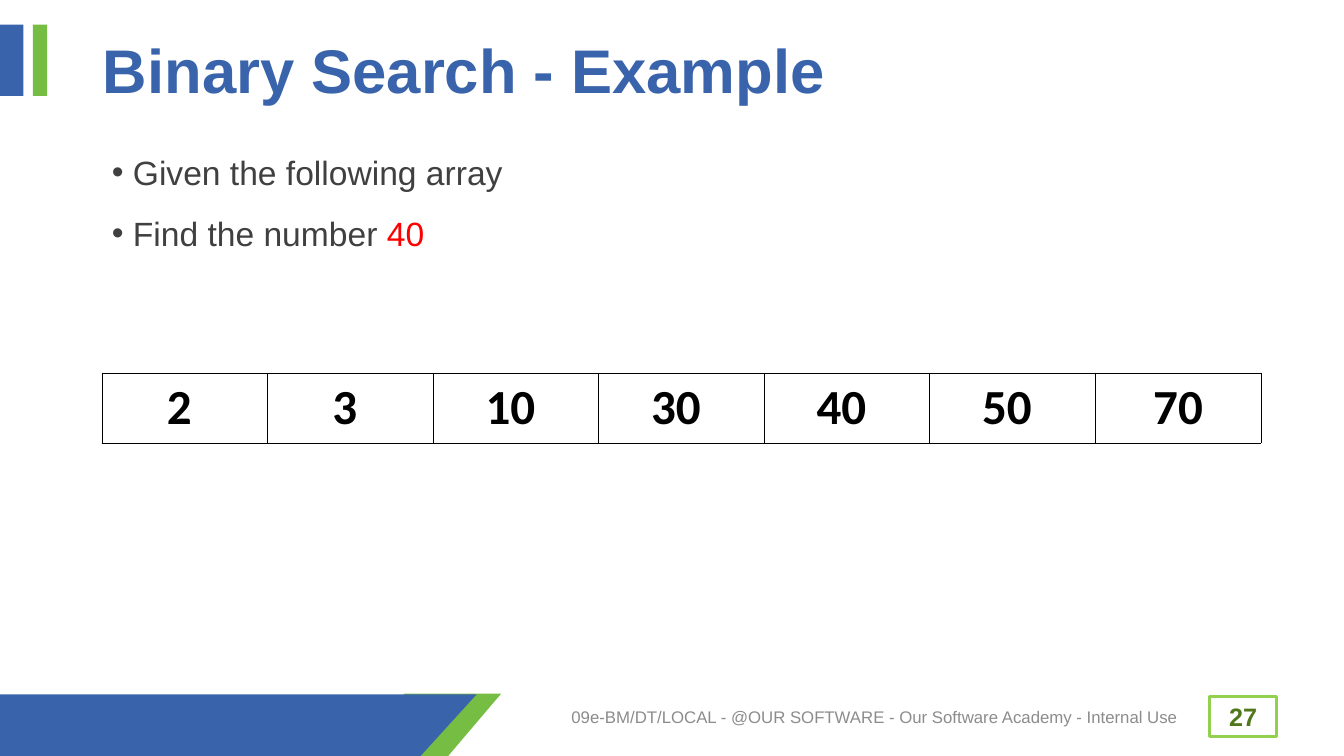
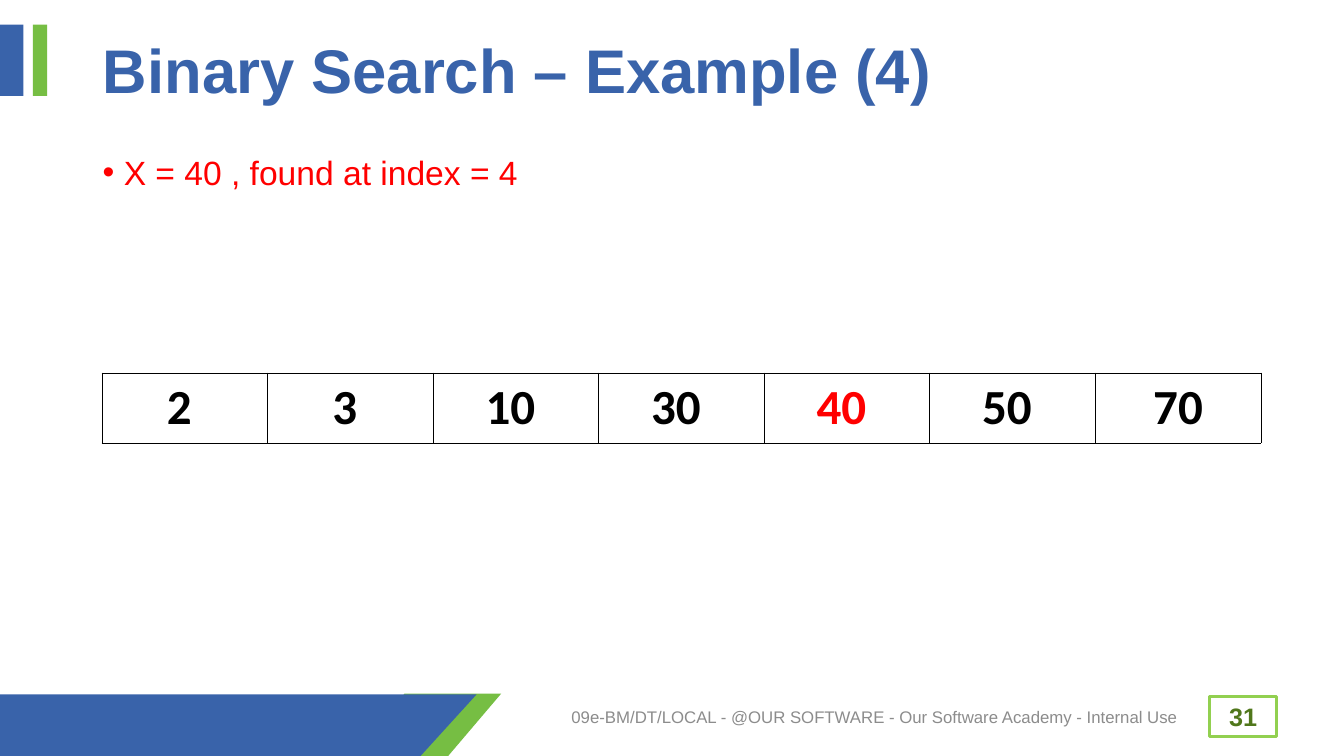
from lxml import etree
from pptx import Presentation
from pptx import util as u
from pptx.dml import color
from pptx.enum import shapes, text
from pptx.oxml import ns

COLORS = {
    "blue": "3963AA", "green": "76BE43", "lime": "92D050", "olive": "50771B",
    "body": "404040", "footer": "8C8C8C", "red": "FF0000",
    "black": "000000", "white": "FFFFFF",
}
STYLES = {
    "title": {"size": u.Pt(44), "name": "Arial", "bold": True},
    "bullet": {"size": u.Pt(24), "name": "Arial", "bold": False},
    "number": {"size": u.Pt(18), "name": "Arial", "bold": True},
    "footer": {"size": u.Pt(12), "name": "Arial", "bold": False},
    "cell": {"size": u.Pt(35), "name": "Calibri", "bold": True},
}
FRAME = {
    "word_wrap": True, "auto_size": text.MSO_AUTO_SIZE.NONE,
    "vertical_anchor": text.MSO_ANCHOR.MIDDLE,
}
FOOTER = "09e-BM/DT/LOCAL - @OUR SOFTWARE - Our Software Academy - Internal Use"
ARRAY = [2, 3, 10, 30, 40, 50, 70]
SLIDES = [
    {"title": "Binary Search - Example", "number": 27, "body_left": 2.57, "found": None,
     "bullets": [[("Given the following array", "body")],
                 [("Find the number ", "body"), ("40", "red")]]},
    {"title": "Binary Search – Example (4)", "number": 31, "body_left": 2.34, "found": 40,
     "bullets": [[("X = 40 , found at index = 4", "red")]]},
]
TITLE_BOX = (2.34, 0.51, 29.21, 2.69)
TABLE_BOX = (2.57, 9.4, 29.21, 1.75)
NUMBER_BOX = (30.48, 17.55, 1.7, 1.02)
FOOTER_BOX = (13.61, 17.55, 16.87, 1.02)
TITLE_BARS = [("blue", (0, 0.62, 0.59, 1.8)), ("green", (0.83, 0.62, 0.36, 1.8))]
FOOTER_STRIPE = (8.86, 17.48, 3.77, 1.57)
FOOTER_BAND = [(0, 17.5), (12.01, 17.5), (10.6, 19.05), (0, 19.05)]
BULLET_INDENT = 0.53
CELL_SHIFT = 0.28


def rgb(name):
    return color.RGBColor.from_string(COLORS[name])


def cm(values):
    return [u.Cm(value) for value in values]


def set_values(target, values):
    for name, value in values.items():
        setattr(target, name, value)


def add_run(paragraph, content, style, color_name):
    run = paragraph.add_run()
    run.text = content
    set_values(run.font, STYLES[style])
    run.font.color.rgb = rgb(color_name)


def write_line(frame, content, style, color_name, **paragraph_format):
    paragraph = frame.paragraphs[0]
    set_values(paragraph, paragraph_format)
    add_run(paragraph, content, style, color_name)


def paint(shape, fill, line=None):
    shape.shadow.inherit = False
    shape.fill.solid()
    shape.fill.fore_color.rgb = rgb(fill)
    if line:
        shape.line.color.rgb = rgb(line)
        shape.line.width = u.Pt(2.25)
    else:
        shape.line.fill.background()


def add_box(slide, kind, box, fill, line=None):
    shape = slide.shapes.add_shape(kind, *cm(box))
    paint(shape, fill, line)
    return shape


def add_decoration(slide):
    stripe = add_box(slide, shapes.MSO_SHAPE.PARALLELOGRAM, FOOTER_STRIPE, "green")
    stripe.adjustments[0] = 0.85
    start, *corners = [cm(point) for point in FOOTER_BAND]
    builder = slide.shapes.build_freeform(*start)
    builder.add_line_segments(corners)
    paint(builder.convert_to_shape(), "blue")
    for fill, box in TITLE_BARS:
        add_box(slide, shapes.MSO_SHAPE.RECTANGLE, box, fill)


def add_title(slide, content):
    title = slide.shapes.title
    set_values(title, dict(zip(("left", "top", "width", "height"), cm(TITLE_BOX))))
    set_values(title.text_frame, FRAME)
    write_line(title.text_frame, content, "title", "blue",
               alignment=text.PP_ALIGN.LEFT, line_spacing=0.9)


def add_bullet(paragraph, color_name):
    properties = paragraph._p.get_or_add_pPr()
    indent = u.Cm(BULLET_INDENT)
    properties.set("marL", str(indent))
    properties.set("indent", str(-indent))
    bullet_color = etree.SubElement(properties, ns.qn("a:buClr"))
    etree.SubElement(bullet_color, ns.qn("a:srgbClr"), val=COLORS[color_name])
    etree.SubElement(properties, ns.qn("a:buFont"), typeface="Arial")
    etree.SubElement(properties, ns.qn("a:buChar"), char="•")


def add_bullets(slide, left, bullets):
    frame = slide.shapes.add_textbox(*cm((left, 3.2, 29.21, 5))).text_frame
    set_values(frame, {**FRAME, "vertical_anchor": text.MSO_ANCHOR.TOP})
    for index, runs in enumerate(bullets):
        paragraph = frame.add_paragraph() if index else frame.paragraphs[0]
        set_values(paragraph, {"line_spacing": 1.5, "space_before": u.Pt(0 if index else 10)})
        add_bullet(paragraph, runs[0][1])
        for content, color_name in runs:
            add_run(paragraph, content, "bullet", color_name)


def add_borders(cell):
    properties = cell._tc.get_or_add_tcPr()
    for index, side in enumerate(("lnL", "lnR", "lnT", "lnB")):
        border = etree.Element(ns.qn(f"a:{side}"), w=str(u.Pt(0.5)))
        fill = etree.SubElement(border, ns.qn("a:solidFill"))
        etree.SubElement(fill, ns.qn("a:srgbClr"), val=COLORS["black"])
        properties.insert(index, border)


def add_array(slide, found):
    table = slide.shapes.add_table(1, len(ARRAY), *cm(TABLE_BOX)).table
    set_values(table, {"first_row": False, "horz_banding": False})
    for index, value in enumerate(ARRAY):
        cell = table.cell(0, index)
        cell.fill.background()
        cell.vertical_anchor = text.MSO_ANCHOR.MIDDLE
        if index < len(ARRAY) - 1:
            cell.margin_right = u.Cm(0.25 + CELL_SHIFT)
        add_borders(cell)
        write_line(cell.text_frame, str(value), "cell", "red" if value == found else "black",
                   alignment=text.PP_ALIGN.CENTER)


def add_footer(slide, number):
    number_box = add_box(slide, shapes.MSO_SHAPE.RECTANGLE, NUMBER_BOX, "white", "lime")
    footer = slide.shapes.add_textbox(*cm(FOOTER_BOX))
    for shape, content, style, color_name in (
        (number_box, str(number), "number", "olive"),
        (footer, FOOTER, "footer", "footer"),
    ):
        set_values(shape.text_frame, FRAME)
        write_line(shape.text_frame, content, style, color_name,
                   alignment=text.PP_ALIGN.CENTER)


def main():
    presentation = Presentation()
    set_values(presentation, {"slide_width": u.Cm(33.87), "slide_height": u.Cm(19.05)})
    for content in SLIDES:
        slide = presentation.slides.add_slide(presentation.slide_layouts[5])
        add_decoration(slide)
        add_title(slide, content["title"])
        add_bullets(slide, content["body_left"], content["bullets"])
        add_footer(slide, content["number"])
        add_array(slide, content["found"])
    presentation.save("out.pptx")


if __name__ == "__main__":
    main()
